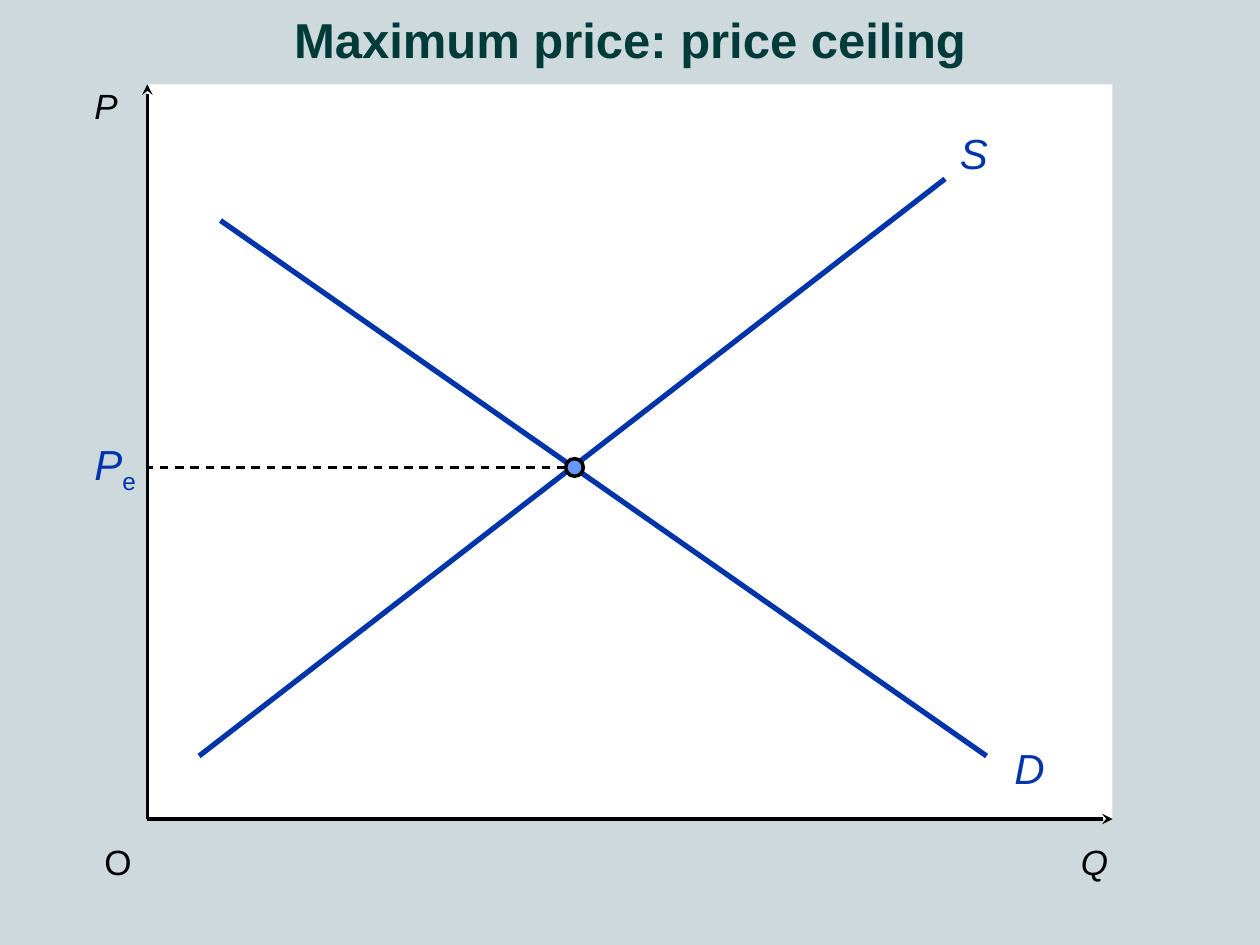
from lxml import etree
from pptx import Presentation
from pptx.dml.color import RGBColor as RGB
from pptx.enum.dml import MSO_LINE as Dash
from pptx.enum.shapes import MSO_CONNECTOR as Connector, MSO_SHAPE as Shape
from pptx.enum.text import MSO_AUTO_SIZE as AutoSize, PP_ALIGN as Align
from pptx.oxml.ns import qn
from pptx.util import Inches, Pt

COLORS = {
    "background": "CED9DE",
    "plot": "FFFFFF",
    "axis": "000000",
    "curve": "0035AA",
    "point": "6699FF",
    "title": "003B3A",
}
LEFT, TOP, RIGHT, BOTTOM = 1.17, 0.67, 8.83, 6.5
EQUILIBRIUM = (4.56, 3.71)
AXIS_LABEL = {"size": 20, "color": "axis"}
CURVE_LABEL = {"size": 24, "color": "curve", "italic": True}


class DiagramSlide:
    def __init__(self, presentation, font="Arial"):
        self.font = font
        self.slide = presentation.slides.add_slide(presentation.slide_layouts[6])
        fill = self.slide.background.fill
        fill.solid()
        fill.fore_color.rgb = self.color("background")

    def color(self, name):
        return RGB.from_string(COLORS[name])

    def shape(self, kind, left, top, width, height, fill, line=None, weight=2):
        shape = self.slide.shapes.add_shape(
            kind, Inches(left), Inches(top), Inches(width), Inches(height))
        shape.shadow.inherit = False
        shape.fill.solid()
        shape.fill.fore_color.rgb = self.color(fill)
        if line:
            shape.line.color.rgb = self.color(line)
            shape.line.width = Pt(weight)
        else:
            shape.line.fill.background()

    def line(self, start, end, color, weight, dash=None, arrow=None):
        """Draw a straight line; arrow is "headEnd" (start) or "tailEnd" (end)."""
        connector = self.slide.shapes.add_connector(
            Connector.STRAIGHT, *(Inches(value) for value in (*start, *end)))
        connector.line.color.rgb = self.color(color)
        connector.line.width = Pt(weight)
        if dash:
            connector.line.dash_style = dash
        if arrow:
            outline = connector.line._get_or_add_ln()
            etree.SubElement(outline, qn(f"a:{arrow}"), type="stealth")
        etree.SubElement(connector._element.spPr, qn("a:effectLst"))

    def text(self, content, left, top, width, height, size, color,
             align=Align.LEFT, wrap=False, **style):
        box = self.slide.shapes.add_textbox(
            Inches(left), Inches(top), Inches(width), Inches(height))
        box.text_frame.word_wrap = wrap
        box.text_frame.auto_size = AutoSize.SHAPE_TO_FIT_TEXT
        paragraph = box.text_frame.paragraphs[0]
        paragraph.alignment = align
        self.run(paragraph, content, size, color, **style)
        return paragraph

    def run(self, paragraph, content, size, color, **style):
        run = paragraph.add_run()
        run.text = content
        values = {"name": self.font, "size": Pt(size), **style}
        for name, value in values.items():
            setattr(run.font, name, value)
        run.font.color.rgb = self.color(color)
        return run

    def subscript(self, paragraph, content, size, color):
        run = self.run(paragraph, content, size, color)
        run.font._element.set("baseline", "-25000")

    def text_shadow(self, paragraph):
        properties = paragraph.runs[0].font._element
        effects = etree.Element(qn("a:effectLst"))
        shadow = etree.SubElement(
            effects, qn("a:outerShdw"), blurRad="38100", dist="38100",
            dir="2700000", algn="tl")
        etree.SubElement(shadow, qn("a:srgbClr"), val="000000")
        properties.find(qn("a:solidFill")).addnext(effects)


def main():
    presentation = Presentation()
    presentation.slide_width = Inches(10)
    presentation.slide_height = Inches(7.5)
    diagram = DiagramSlide(presentation)

    diagram.shape(Shape.RECTANGLE, LEFT, TOP, RIGHT - LEFT, BOTTOM - TOP, "plot")
    diagram.text("P", 0.65, 0.62, 0.46, 0.43, italic=True, **AXIS_LABEL)
    diagram.text("Q", 8.48, 6.62, 0.49, 0.43, italic=True, **AXIS_LABEL)
    diagram.text("O", 0.73, 6.62, 0.42, 0.43, **AXIS_LABEL)

    diagram.line((1.58, 6), (7.5, 1.42), "curve", 3)
    diagram.line((1.75, 1.75), (7.83, 6), "curve", 3)
    center_x, center_y = EQUILIBRIUM
    radius = 0.07
    diagram.shape(Shape.OVAL, center_x - radius, center_y - radius,
                  2 * radius, 2 * radius, "point", line="axis")

    price = diagram.text("P", 0.65, 3.43, 0.55, 0.5, **CURVE_LABEL)
    diagram.subscript(price, "e", 24, "curve")
    diagram.text("S", 7.52, 0.96, 0.42, 0.5, align=Align.CENTER, **CURVE_LABEL)
    diagram.text("D", 7.95, 5.84, 0.44, 0.5, align=Align.CENTER, **CURVE_LABEL)

    origin = (LEFT, BOTTOM)
    diagram.line(origin, (RIGHT, BOTTOM), "axis", 2, arrow="tailEnd")
    diagram.line((LEFT, TOP), origin, "axis", 2, arrow="headEnd")
    diagram.line((center_x - radius, center_y), (LEFT, center_y), "axis", 1.25,
                 dash=Dash.DASH)

    title = diagram.text("Maximum price: price ceiling", 0, 0.03, 10, 0.57, 28,
                         "title", align=Align.CENTER, wrap=True, bold=True)
    diagram.text_shadow(title)
    presentation.save("out.pptx")


if __name__ == "__main__":
    main()
